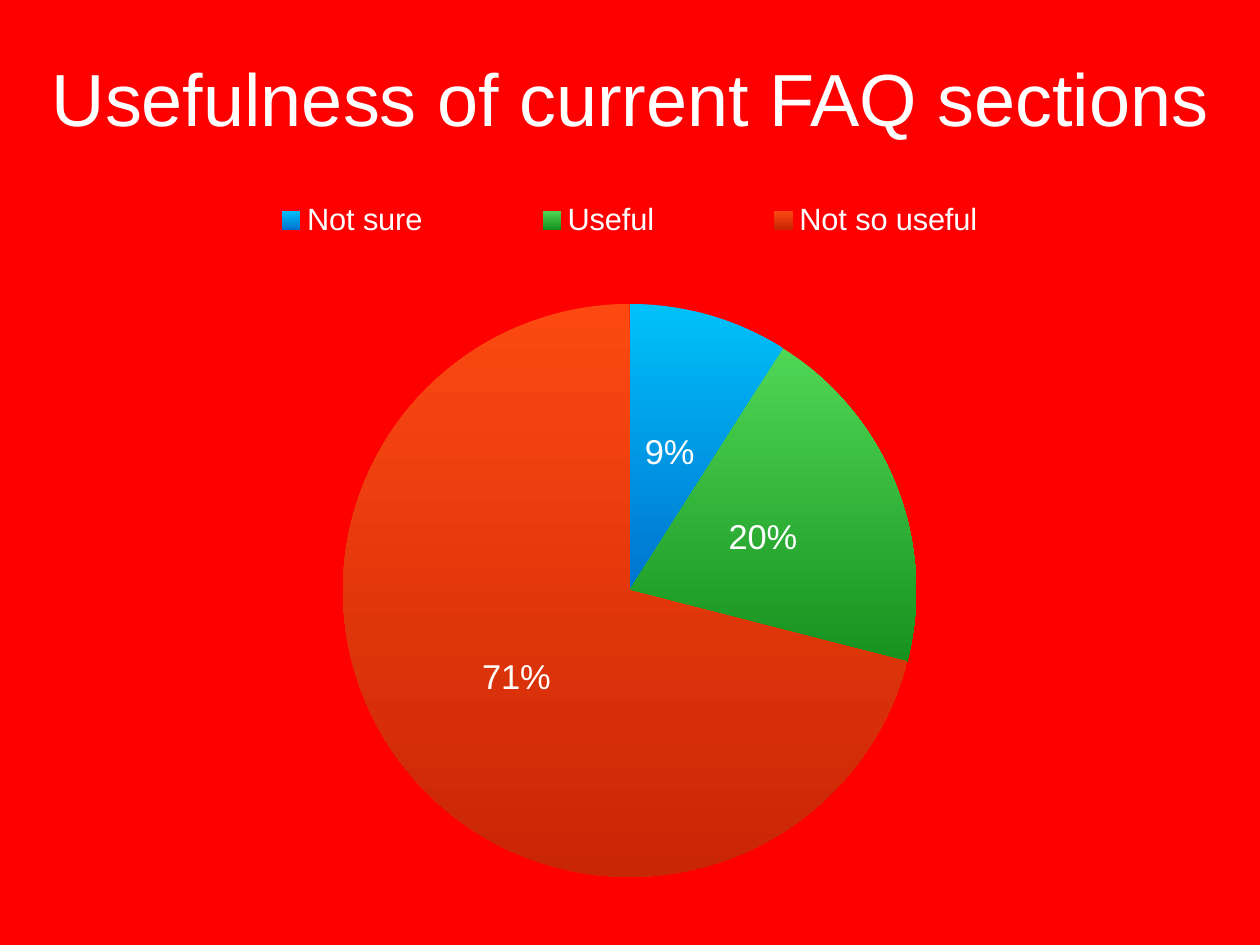
from lxml import etree
from pptx import Presentation
from pptx import util as u
from pptx.chart import data as chart_data
from pptx.dml.color import RGBColor
from pptx.enum import chart as chart_enum, text
from pptx.oxml.ns import qn

TITLE = "Usefulness of current FAQ sections"
ANSWERS = [("Not sure", 9, "blue"), ("Useful", 20, "green"), ("Not so useful", 71, "orange")]
COLORS = {
    "background": "FF0000",
    "text": "FFFFFF",
    "blue": ("00C1FB", "0073CF"),
    "green": ("50D655", "16931F"),
    "orange": ("FC4912", "C92605"),
}
FONT = "Arial"
SLIDE_SIZE = (36.12, 27.1)
TITLE_BOX = (1.27, 1.4, 33.6, 2.77)
CHART_BOX = (4.93, 5.51, 26.24, 20.04)
PLOT_AREA = {"x": 0.18, "y": 0.16, "w": 0.64, "h": 0.82}
LEGEND_AREA = {"x": 0, "y": 0, "w": 1, "h": 0.08}


def rgb(value):
    return RGBColor.from_string(value)


def lengths(values):
    return [u.Cm(value) for value in values]


def format_font(font, size):
    font.name = FONT
    font.size = u.Pt(size)
    font.color.rgb = rgb(COLORS["text"])


def add_text(slide, content, box, size, align, anchor):
    shape = slide.shapes.add_textbox(*lengths(box))
    frame = shape.text_frame
    frame.word_wrap = False
    frame.vertical_anchor = anchor
    frame.margin_left = frame.margin_right = u.Cm(0.15)
    frame.margin_top = frame.margin_bottom = u.Cm(0.15)
    paragraph = frame.paragraphs[0]
    paragraph.alignment = align
    run = paragraph.add_run()
    run.text = content
    format_font(run.font, size)


def make_layout(area, inner=False):
    layout = etree.Element(qn("c:layout"))
    manual = etree.SubElement(layout, qn("c:manualLayout"))
    settings = {"layoutTarget": "inner"} if inner else {}
    settings.update(xMode="edge", yMode="edge", **area)
    for name, value in settings.items():
        etree.SubElement(manual, qn(f"c:{name}")).set("val", str(value))
    return layout


def place(element, layout, index):
    for old in element.findall(qn("c:layout")):
        element.remove(old)
    element.insert(index, layout)


def fill_gradient(fill, stops):
    fill.gradient()
    fill.gradient_angle = 270
    for stop, color in zip(fill.gradient_stops, stops):
        stop.color.rgb = rgb(color)


def add_answer_chart(slide):
    answers = chart_data.CategoryChartData()
    answers.categories = [name for name, _, _ in ANSWERS]
    answers.add_series("Series 1", [value for _, value, _ in ANSWERS])
    chart = slide.shapes.add_chart(
        chart_enum.XL_CHART_TYPE.PIE, *lengths(CHART_BOX), answers
    ).chart
    chart.has_title = False
    format_font(chart.font, 10)

    chart.has_legend = True
    legend = chart.legend
    legend.position = chart_enum.XL_LEGEND_POSITION.TOP
    legend.include_in_layout = True
    format_font(legend.font, 25)
    place(legend._element, make_layout(LEGEND_AREA), 1)

    plot = chart.plots[0]
    plot.vary_by_categories = True
    place(chart._chartSpace.chart.plotArea, make_layout(PLOT_AREA, inner=True), 0)
    plot.has_data_labels = True
    labels = plot.data_labels
    labels.show_value = False
    labels.show_percentage = True
    labels.number_format = "#,##0%"
    labels.number_format_is_linked = False
    labels.position = chart_enum.XL_LABEL_POSITION.CENTER
    format_font(labels.font, 28)

    for index, (_, _, color) in enumerate(ANSWERS):
        point_format = plot.series[0].points[index].format
        fill_gradient(point_format.fill, COLORS[color])
        point_format.line.fill.background()


def main():
    presentation = Presentation()
    presentation.slide_width, presentation.slide_height = lengths(SLIDE_SIZE)
    slide = presentation.slides.add_slide(presentation.slide_layouts[6])
    slide.background.fill.solid()
    slide.background.fill.fore_color.rgb = rgb(COLORS["background"])
    add_answer_chart(slide)
    add_text(slide, TITLE, TITLE_BOX, size=60,
             align=text.PP_ALIGN.CENTER, anchor=text.MSO_ANCHOR.MIDDLE)
    presentation.save("out.pptx")


if __name__ == "__main__":
    main()
